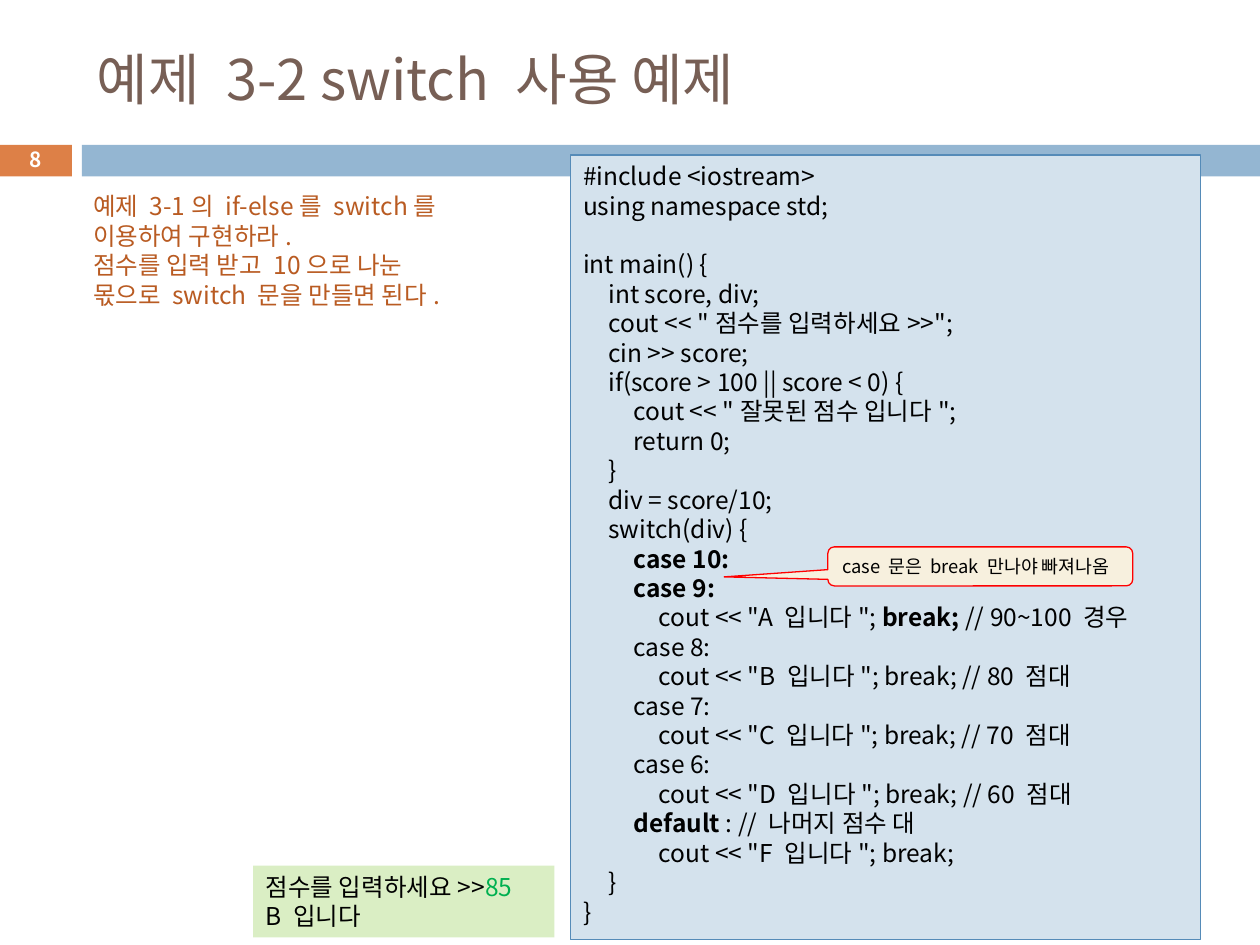
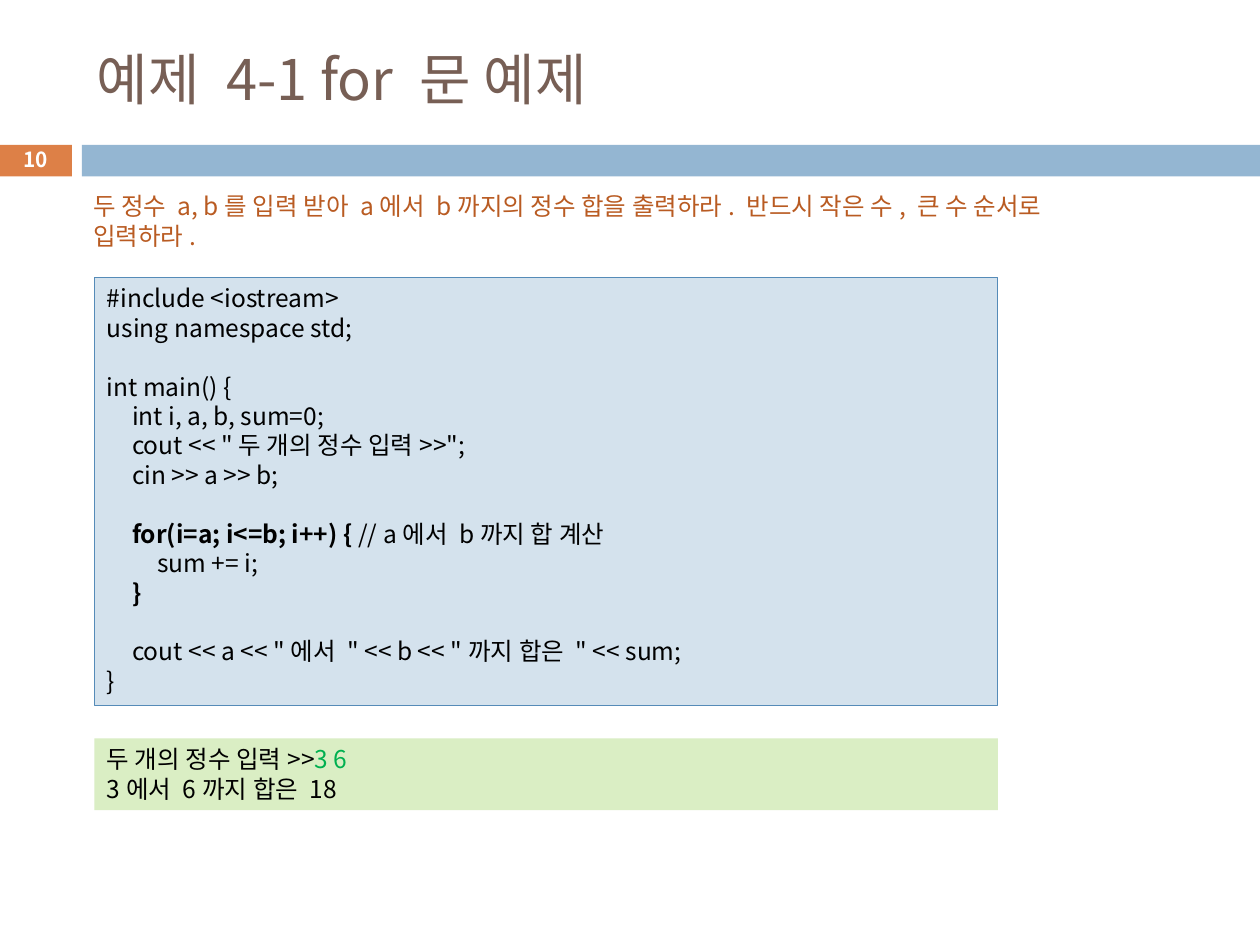
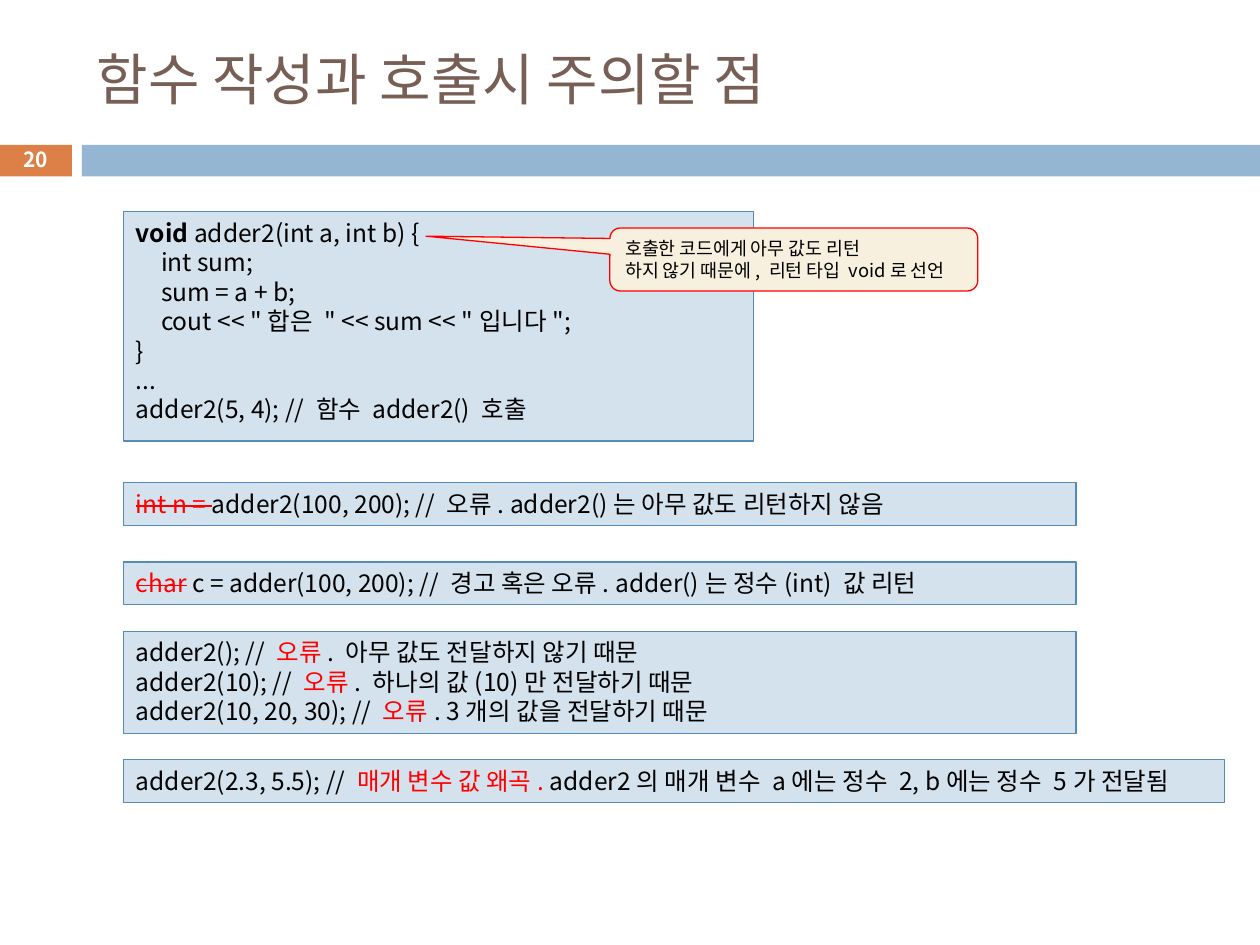
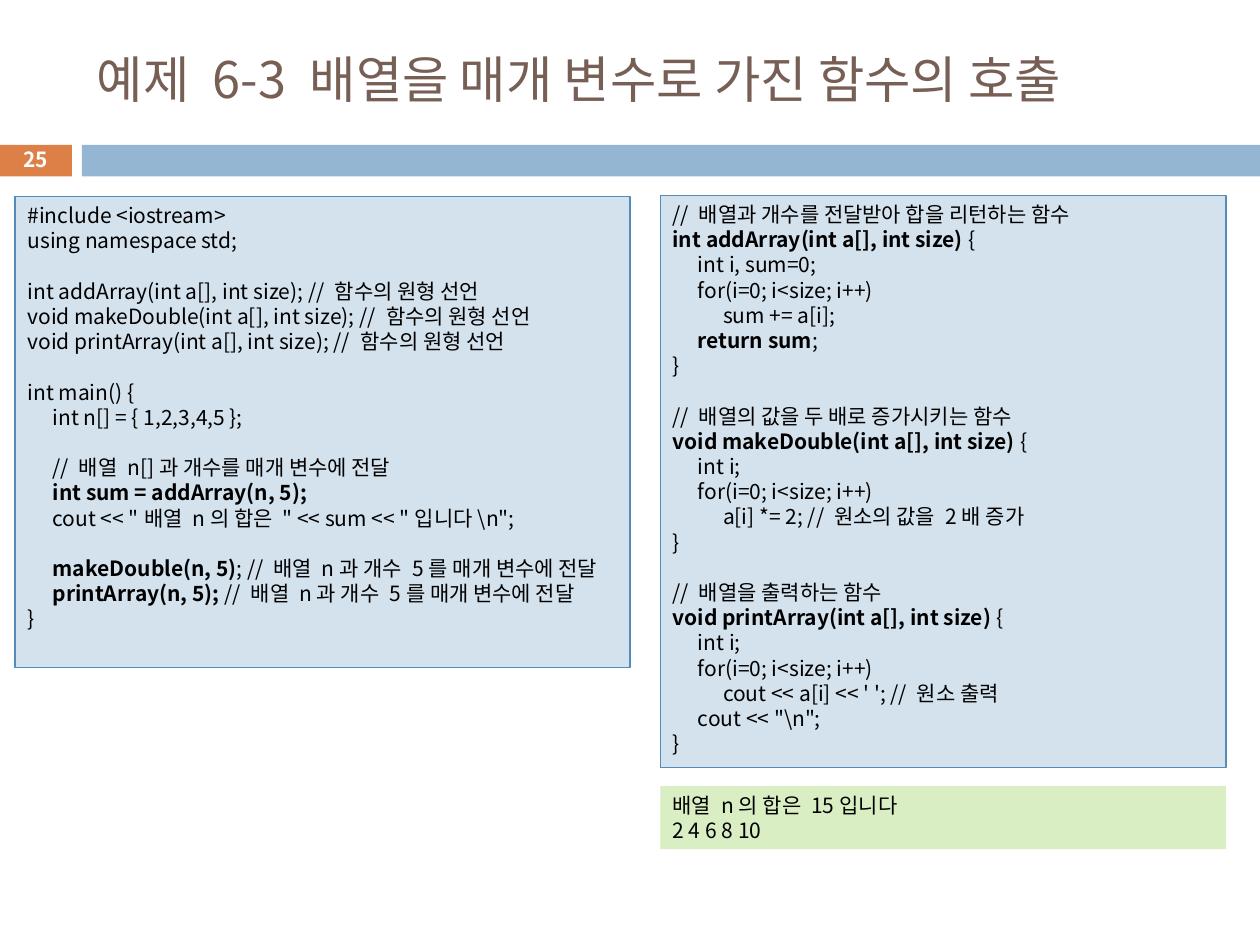
"""Build four slides of C++ teaching examples."""
from lxml import etree
from pptx import Presentation
from pptx.dml.color import RGBColor
from pptx.enum.shapes import MSO_SHAPE
from pptx.enum.text import MSO_ANCHOR, PP_ALIGN
from pptx.oxml.ns import qn
from pptx.util import Inches, Pt

RECT = MSO_SHAPE.RECTANGLE
BUBBLE = MSO_SHAPE.ROUNDED_RECTANGULAR_CALLOUT
TOP, MIDDLE = MSO_ANCHOR.TOP, MSO_ANCHOR.MIDDLE
LEFT, CENTER = PP_ALIGN.LEFT, PP_ALIGN.CENTER
FONT = "Noto Sans CJK KR"
TAB = 0.2
PITCH = 1.2
COLORS = {
    "title": "775F55", "tag": "DD8047", "band": "94B6D2", "white": "FFFFFF",
    "task": "B95B22", "code": "D4E2ED", "edge": "558BB8", "output": "DAEEC4",
    "note": "F7F0DE", "red": "FF0000", "green": "00B050", "black": "000000",
}
MARKS = {"b": None, "r": "red", "s": "red", "g": "green"}

SWITCH = r'''
#include <iostream>
using namespace std;

int main() {
    int score, div;
    cout << "점수를 입력하세요>>";
    cin >> score;
    if(score > 100 || score < 0) {
        cout << "잘못된 점수 입니다";
        return 0;
    }
    div = score/10;
    switch(div) {
        `bcase 10:`
        `bcase 9:`
            cout << "A 입니다"; `bbreak; `// 90~100 경우
        case 8:
            cout << "B 입니다"; break; // 80 점대
        case 7:
            cout << "C 입니다"; break; // 70 점대
        case 6:
            cout << "D 입니다"; break; // 60 점대
        `bdefault `: // 나머지 점수 대
            cout << "F 입니다"; break;
    }
}
'''

LOOP = r'''
#include <iostream>
using namespace std;

int main() {
    int i, a, b, sum=0;
    cout << "두 개의 정수 입력>>";
    cin >> a >> b;

    `bfor(i=a; i<=b; i++) {` // a에서 b까지 합 계산
        sum += i;
    `b}`

    cout << a << "에서 " << b << "까지 합은 " << sum;
}
'''

ADDER = r'''
`bvoid `adder2(int a, int b) {
    int sum;
    sum = a + b;
    cout << "합은 " << sum << "입니다";
}
...
adder2(5, 4); // 함수 adder2() 호출
'''

COUNTS = r'''
adder2(); // `r오류`. 아무 값도 전달하지 않기 때문
adder2(10); // `r오류`. 하나의 값(10)만 전달하기 때문
adder2(10, 20, 30); // `r오류`. 3개의 값을 전달하기 때문
'''

MAIN = r'''
#include <iostream>
using namespace std;

int addArray(int a[], int size); // 함수의 원형 선언
void makeDouble(int a[], int size); // 함수의 원형 선언
void printArray(int a[], int size); // 함수의 원형 선언

int main() {
    int n[] = { 1,2,3,4,5 };

    // 배열 n[]과 개수를 매개 변수에 전달
    `bint sum = addArray(n, 5);`
    cout << "배열 n의 합은 " << sum << "입니다\n";

    `bmakeDouble(n, 5)`; // 배열 n과 개수 5를 매개 변수에 전달
    `bprintArray(n, 5); `// 배열 n과 개수 5를 매개 변수에 전달
}
'''

ARRAYS = r'''
// 배열과 개수를 전달받아 합을 리턴하는 함수
`bint addArray(int a[], int size) `{
    int i, sum=0;
    for(i=0; i<size; i++)
        sum += a[i];
    `breturn sum`;
}

// 배열의 값을 두 배로 증가시키는 함수
`bvoid makeDouble(int a[], int size) `{
    int i;
    for(i=0; i<size; i++)
        a[i] *= 2; // 원소의 값을 2배 증가
}

// 배열을 출력하는 함수
`bvoid printArray(int a[], int size) `{
    int i;
    for(i=0; i<size; i++)
        cout << a[i] << ' '; // 원소 출력
    cout << "\n";
}
'''


def rgb(name):
    """Return the named colour."""
    return RGBColor.from_string(COLORS[name])


class Deck:
    """Hold the shared style and the current slide."""

    def __init__(self):
        """Start an empty deck of 10 by 7.5 inches."""
        self.prs = Presentation()
        self.prs.slide_width, self.prs.slide_height = Inches(10), Inches(7.5)
        self.slide = None

    def page(self, title, number, size=32):
        """Add a slide with its title, band and number."""
        self.slide = self.prs.slides.add_slide(self.prs.slide_layouts[6])
        self.shape((-0.01, 1.15, 0.58, 0.25), "tag")
        self.shape((0.65, 1.15, 9.35, 0.25), "band")
        self.label((0.67, 0.25, 8.92, 0.74), title, size, "title", MIDDLE)
        self.label((-0.01, 1.13, 0.58, 0.27), f"`b{number}`", 11.9, "white",
                   MIDDLE, CENTER)

    def shape(self, box, fill, edge=None, kind=RECT):
        """Add a filled shape, with a thin outline if edge is named."""
        item = self.slide.shapes.add_shape(kind, *map(Inches, box))
        item.shadow.inherit = False
        item.fill.solid()
        item.fill.fore_color.rgb = rgb(fill)
        if edge:
            item.line.color.rgb = rgb(edge)
            item.line.width = Pt(0.75)
        else:
            item.line.fill.background()
        return item

    def label(self, box, text, size, color, anchor=TOP, align=LEFT):
        """Add a plain text box."""
        item = self.slide.shapes.add_textbox(*map(Inches, box))
        self.letter(item, text, size, color, anchor, align)

    def task(self, box, text):
        """Add the wording of an exercise."""
        self.label(box, text, 14, "task")

    def code(self, box, text, size=14):
        """Add a code panel."""
        self.letter(self.shape(box, "code", "edge"), text, size)

    def output(self, box, text, size=14):
        """Add a panel of program output."""
        self.letter(self.shape(box, "output"), text, size)

    def note(self, box, tip, text):
        """Add a callout whose tip is relative to its size."""
        item = self.shape(box, "note", "red", BUBBLE)
        item.adjustments[0], item.adjustments[1] = tip
        self.letter(item, text, 10.5)
        item.text_frame.word_wrap = False

    def letter(self, item, text, size, color="black", anchor=TOP, align=LEFT):
        """Fill a shape with lines; backticks and a letter mark styled parts."""
        frame = item.text_frame
        frame.word_wrap = True
        frame.vertical_anchor = anchor
        lines = text.strip("\n").replace(" " * 4, "\t").split("\n")
        for i, line in enumerate(lines):
            para = frame.add_paragraph() if i else frame.paragraphs[0]
            para.alignment = align
            para.line_spacing = Pt(size * PITCH)
            if "\t" in line:
                self.tabs(para)
            for j, part in enumerate(line.split("`")):
                if part:
                    mark, part = (part[0], part[1:]) if j % 2 else ("", part)
                    self.run(para, part, size, MARKS.get(mark) or color, mark)
            if not line:
                etree.SubElement(para._p, qn("a:endParaRPr"),
                                 sz=str(round(size * 100)))

    def tabs(self, para):
        """Give a paragraph evenly spaced tab stops."""
        stops = etree.SubElement(para._p.get_or_add_pPr(), qn("a:tabLst"))
        for n in range(1, 5):
            etree.SubElement(stops, qn("a:tab"), pos=str(Inches(TAB * n)), algn="l")

    def run(self, para, text, size, color, mark):
        """Add one styled run."""
        run = para.add_run()
        run.text = text
        font = run.font
        font.size, font.name, font.bold = Pt(size), FONT, mark == "b"
        font.color.rgb = rgb(color)
        props = run._r.get_or_add_rPr()
        etree.SubElement(props, qn("a:ea"), typeface=FONT)
        if mark == "s":
            props.set("strike", "sngStrike")


def main():
    """Build and save the slides."""
    deck = Deck()

    deck.page("예제 3-2 switch 사용 예제", 8)
    deck.task((0.64, 1.47, 3.18, 1.04),
              "예제 3-1의 if-else를 switch를 이용하여 구현하라.\n"
              "점수를 입력 받고 10으로 나눈 몫으로 switch 문을 만들면 된다.")
    deck.code((4.53, 1.23, 5, 6.23), SWITCH)
    deck.output((2.01, 6.87, 2.39, 0.57), "점수를 입력하세요>>`g85`\nB 입니다")
    deck.note((6.57, 4.34, 2.42, 0.31), (-0.84, 0.27),
              "case 문은 break 만나야 빠져나옴")

    deck.page("예제 4-1 for 문 예제", 10)
    deck.code((0.75, 2.2, 7.17, 3.4), LOOP)
    deck.output((0.75, 5.86, 7.17, 0.57),
                "두 개의 정수 입력>>`g3 6`\n3에서 6까지 합은 18")
    deck.task((0.64, 1.47, 8.14, 0.57),
              "두 정수 a, b를 입력 받아 a에서 b까지의 정수 합을 출력하라. "
              "반드시 작은 수, 큰 수 순서로 입력하라.")

    deck.page("함수 작성과 호출시 주의할 점", 20)
    panels = [
        (1.68, 5, 1.82, ADDER),
        (3.83, 7.56, 0.34,
         "`sint n = `adder2(100, 200); // 오류. adder2()는 아무 값도 리턴하지 않음"),
        (4.46, 7.56, 0.34,
         "`schar` c = adder(100, 200); // 경고 혹은 오류. adder()는 정수(int) 값 리턴"),
        (5.01, 7.56, 0.81, COUNTS),
        (6.03, 8.74, 0.34,
         "adder2(2.3, 5.5); // `r매개 변수 값 왜곡. `"
         "adder2의 매개 변수 a에는 정수 2, b에는 정수 5가 전달됨"),
    ]
    for top, wide, high, text in panels:
        deck.code((0.98, top, wide, high), text)
    deck.note((4.84, 1.81, 2.92, 0.5), (-1, -0.37),
              "호출한 코드에게 아무 값도 리턴\n"
              "하지 않기 때문에, 리턴 타입 void로 선언")

    deck.page("예제 6-3 배열을 매개 변수로 가진 함수의 호출", 25, 28.8)
    deck.code((0.12, 1.56, 4.88, 3.74), MAIN, 12)
    deck.code((5.24, 1.55, 4.49, 4.54), ARRAYS, 12)
    deck.output((5.24, 6.24, 4.49, 0.5), "배열 n의 합은 15입니다\n2 4 6 8 10", 12)

    deck.prs.save("out.pptx")


if __name__ == "__main__":
    main()
